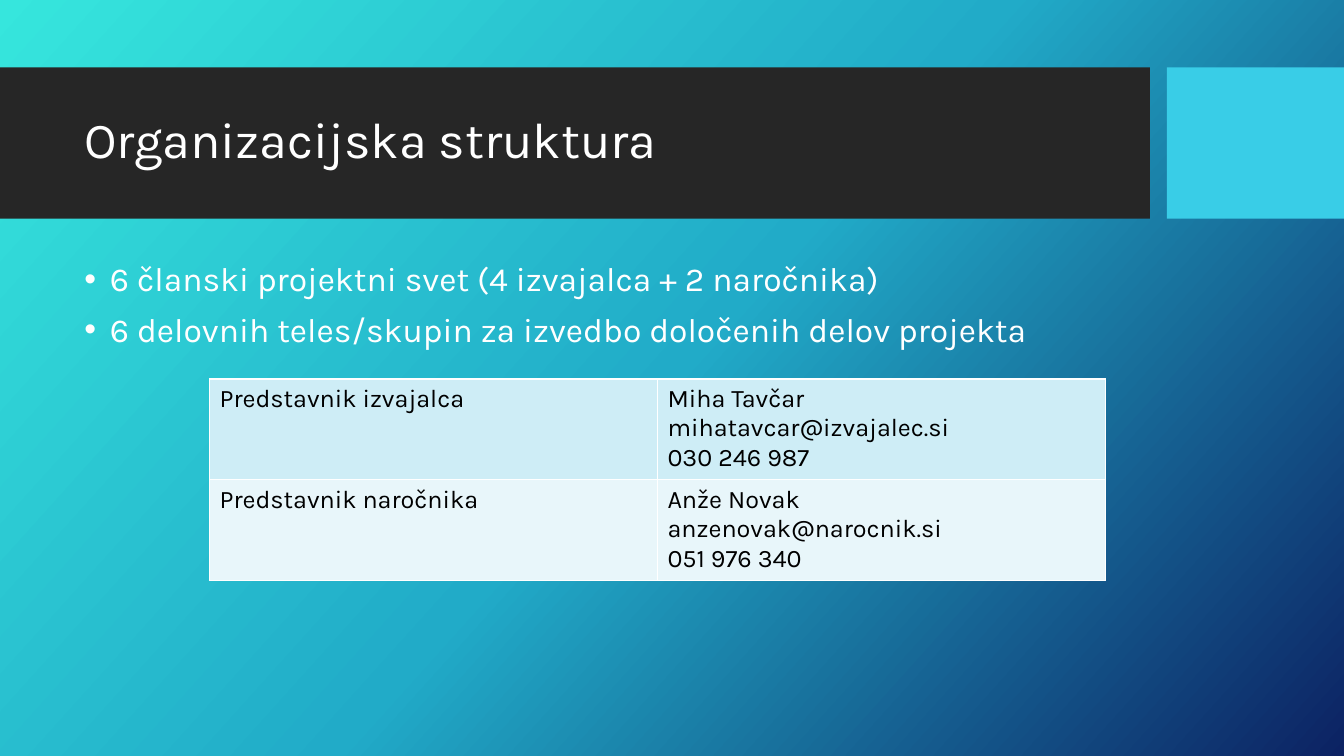
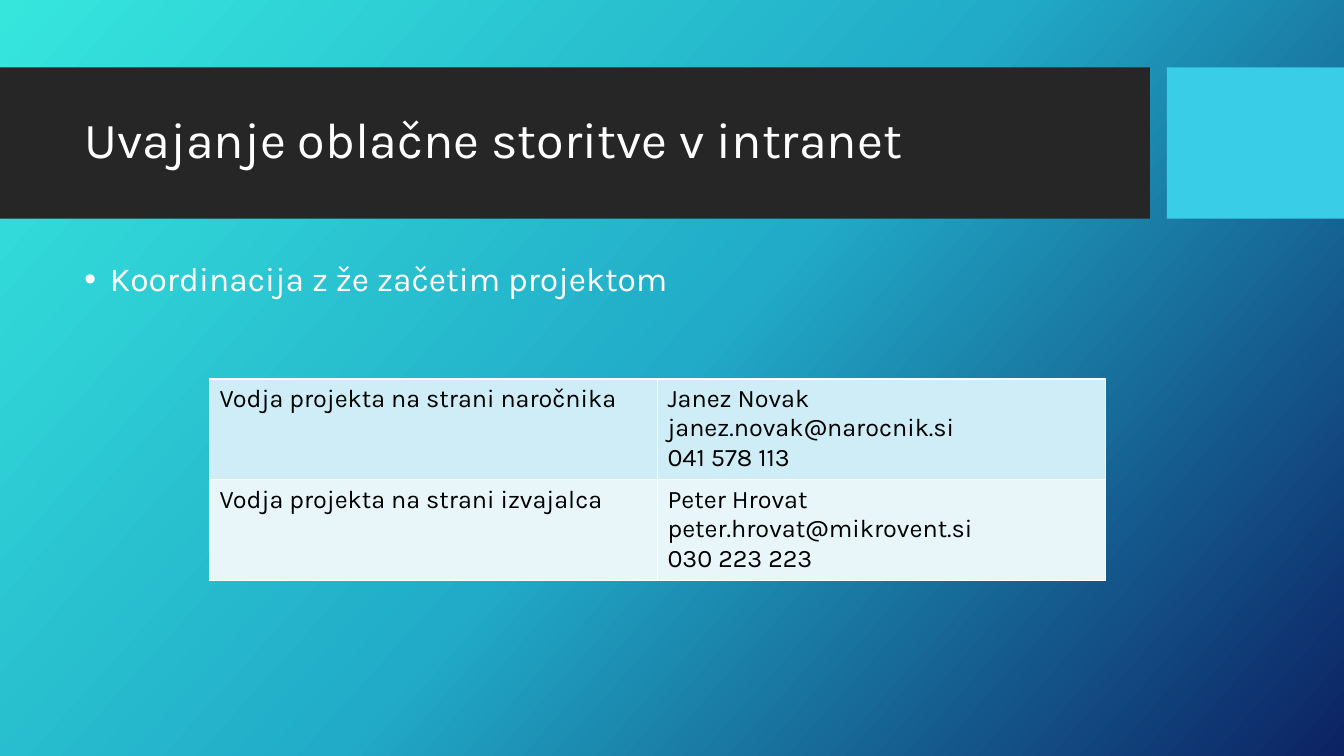
from dataclasses import dataclass

from lxml.etree import SubElement
from pptx import Presentation
from pptx.dml.color import RGBColor
from pptx.enum.shapes import MSO_SHAPE as Preset
from pptx.enum.text import MSO_ANCHOR as Anchor
from pptx.oxml.ns import qn
from pptx.util import Cm, Pt


@dataclass(frozen=True)
class Theme:
    """Colours, type and measures shared by the slides."""
    font: str = "Karla"
    title_size: int = 36
    body_size: int = 24
    table_size: int = 18
    light: str = "FFFFFF"
    dark: str = "000000"
    title_band: str = "262626"
    accent: str = "39CDE7"
    row_fills: tuple = ("CEEDF6", "E8F6FA")
    gradient: tuple = ((0, "36E6DD"), (50, "21ABC8"), (100, "0C2263"))
    gradient_angle: int = 42
    line_spacing: float = 0.9


THEME = Theme()

SLIDES = [
    {
        "title": "Organizacijska struktura",
        "points": [
            "6 članski projektni svet (4 izvajalca + 2 naročnika)",
            "6 delovnih teles/skupin za izvedbo določenih delov projekta",
        ],
        "contacts": [
            ("Predstavnik izvajalca",
             ["Miha Tavčar", "mihatavcar@izvajalec.si", "030 246 987"]),
            ("Predstavnik naročnika",
             ["Anže Novak", "anzenovak@narocnik.si", "051 976 340"]),
        ],
    },
    {
        "title": "Uvajanje oblačne storitve v intranet",
        "points": ["Koordinacija z že začetim projektom"],
        "contacts": [
            ("Vodja projekta na strani naročnika",
             ["Janez Novak", "janez.novak@narocnik.si", "041 578 113"]),
            ("Vodja projekta na strani izvajalca",
             ["Peter Hrovat", "peter.hrovat@mikrovent.si", "030 223 223"]),
        ],
    },
]


def set_background(master):
    """Give every slide the diagonal three-colour gradient."""
    fill = master.background.fill
    fill.gradient()
    fill.gradient_angle = 360 - THEME.gradient_angle
    stops = master.element.cSld.find(".//" + qn("a:gsLst"))
    for stop in list(stops):
        stops.remove(stop)
    for percent, colour in THEME.gradient:
        stop = SubElement(stops, qn("a:gs"), pos=str(percent * 1000))
        SubElement(stop, qn("a:srgbClr"), val=colour)


def add_band(slide, left, width, colour):
    """Draw one plain rectangle of the title strip."""
    shape = slide.shapes.add_shape(
        Preset.RECTANGLE, Cm(left), Cm(1.7), Cm(width), Cm(3.81))
    shape.shadow.inherit = False
    shape.fill.solid()
    shape.fill.fore_color.rgb = RGBColor.from_string(colour)
    shape.line.fill.background()


def write_lines(frame, lines, size, colour):
    """Write each line as a paragraph and return the paragraphs."""
    for index, text in enumerate(lines):
        paragraph = frame.add_paragraph() if index else frame.paragraphs[0]
        run = paragraph.add_run()
        run.text = text
        run.font.name = THEME.font
        run.font.size = Pt(size)
        run.font.color.rgb = RGBColor.from_string(colour)
    return frame.paragraphs


def add_text(slide, top, height, lines, size, anchor):
    """Add a wrapped light text box in the content column."""
    box = slide.shapes.add_textbox(Cm(1.88), Cm(top), Cm(26.7), Cm(height))
    frame = box.text_frame
    frame.word_wrap = True
    frame.vertical_anchor = anchor
    paragraphs = write_lines(frame, lines, size, THEME.light)
    for paragraph in paragraphs:
        paragraph.line_spacing = THEME.line_spacing
    return paragraphs


def add_title(slide, title):
    """Add the title strip with its text."""
    add_band(slide, 0, 28.98, THEME.title_band)
    add_band(slide, 29.41, 4.46, THEME.accent)
    add_text(slide, 2.08, 3, [title], THEME.title_size, Anchor.MIDDLE)


def add_points(slide, points):
    """Add the bulleted list."""
    for paragraph in add_text(
            slide, 6.5, 10, points, THEME.body_size, Anchor.TOP):
        paragraph.space_before = Pt(10)
        properties = paragraph._p.get_or_add_pPr()
        properties.set("marL", str(Cm(0.64)))
        properties.set("indent", str(-Cm(0.64)))
        SubElement(properties, qn("a:buFont"), typeface="Arial")
        SubElement(properties, qn("a:buChar"), char="•")


def add_borders(cell):
    """Outline a table cell with thin light lines."""
    properties = cell._tc.get_or_add_tcPr()
    for side in ("lnL", "lnR", "lnT", "lnB"):
        line = SubElement(properties, qn("a:" + side), w=str(Pt(1)))
        fill = SubElement(line, qn("a:solidFill"))
        SubElement(fill, qn("a:srgbClr"), val=THEME.light)


def add_contacts(slide, contacts):
    """Add the table of roles and contact details."""
    row_height = 2.5
    table = slide.shapes.add_table(
        len(contacts), 2, Cm(5.28), Cm(9.55),
        Cm(22.58), Cm(row_height * len(contacts))).table
    table.first_row = False
    table.horz_banding = False
    for row, (role, details) in enumerate(contacts):
        fill_colour = THEME.row_fills[row % len(THEME.row_fills)]
        for column, lines in enumerate(([role], details)):
            cell = table.cell(row, column)
            add_borders(cell)
            cell.fill.solid()
            cell.fill.fore_color.rgb = RGBColor.from_string(fill_colour)
            write_lines(cell.text_frame, lines, THEME.table_size, THEME.dark)


def main():
    """Build the presentation."""
    presentation = Presentation()
    presentation.slide_width = Cm(33.87)
    presentation.slide_height = Cm(19.05)
    set_background(presentation.slide_master)
    blank = presentation.slide_layouts[6]
    for content in SLIDES:
        slide = presentation.slides.add_slide(blank)
        add_title(slide, content["title"])
        add_points(slide, content["points"])
        add_contacts(slide, content["contacts"])
    presentation.save("out.pptx")


main()
